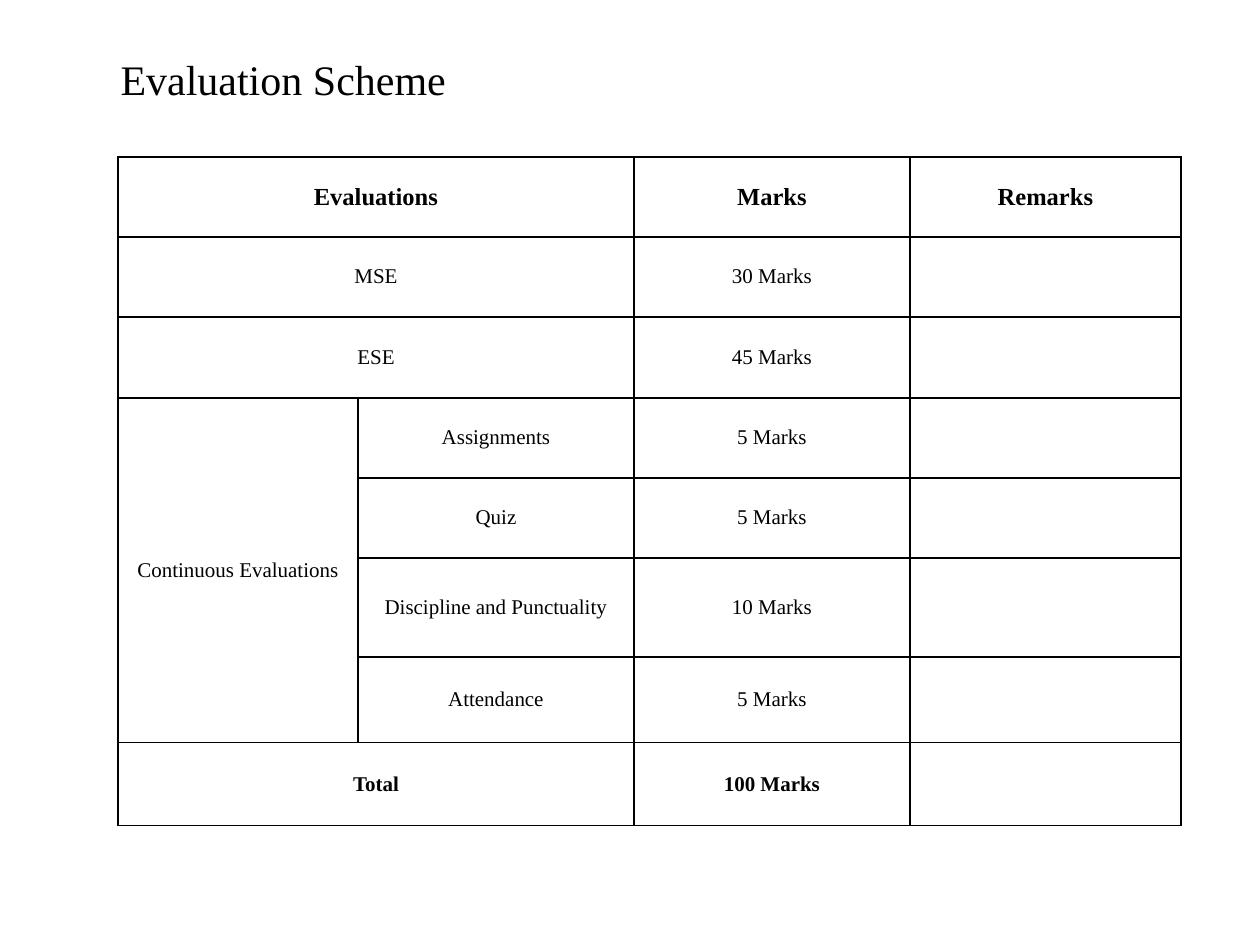
from lxml import etree
from pptx import Presentation
from pptx.dml.color import RGBColor
from pptx.enum.text import MSO_ANCHOR, PP_ALIGN
from pptx.oxml.ns import qn
from pptx.util import Emu, Pt

MIDDLE = MSO_ANCHOR.MIDDLE
LEFT, CENTER = PP_ALIGN.LEFT, PP_ALIGN.CENTER
TITLE_ONLY = 5

THEME = {
    "font": "Times New Roman",
    "ink": "000000",
    "title": 24,
    "header": 14,
    "body": 12,
    "space_after": 6,
    "border": 1,
}

PAGE_SIZE = (1260, 945)
TITLE = "Evaluation Scheme"
TITLE_BOX = (108, 29, 522, 100)
TABLE_ORIGIN = (118, 157)
CELL_INSET = 9
COLUMN_WIDTHS = [240, 276, 276, 271]
ROW_HEIGHTS = [80, 80, 81, 80, 80, 99, 86, 83]
ROWS = [
    ("Evaluations", "", "Marks", "Remarks"),
    ("MSE", "", "30 Marks", ""),
    ("ESE", "", "45 Marks", ""),
    ("Continuous Evaluations", "Assignments", "5 Marks", ""),
    ("", "Quiz", "5 Marks", ""),
    ("", "Discipline and Punctuality", "10 Marks", ""),
    ("", "Attendance", "5 Marks", ""),
    ("Total", "", "100 Marks", ""),
]
MERGES = [((row, 0), (row, 1)) for row in (0, 1, 2, 7)] + [((3, 0), (6, 0))]
BOLD_ROWS = (0, len(ROWS) - 1)


def px(length):
    return Emu(round(length * 914400 / 126))


def write(paragraph, text, size, bold, align):
    paragraph.alignment = align
    span = paragraph.add_run()
    span.text = text
    span.font.name = THEME["font"]
    span.font.size = Pt(size)
    span.font.bold = bold
    span.font.color.rgb = RGBColor.from_string(THEME["ink"])


def add_borders(cell):
    properties = cell._tc.get_or_add_tcPr()
    for side in ("a:lnL", "a:lnR", "a:lnT", "a:lnB"):
        line = etree.SubElement(properties, qn(side), w=str(Pt(THEME["border"])))
        fill = etree.SubElement(line, qn("a:solidFill"))
        etree.SubElement(fill, qn("a:srgbClr"), val=THEME["ink"])


def add_title(page):
    title = page.shapes.title
    title.left, title.top, title.width, title.height = map(px, TITLE_BOX)
    frame = title.text_frame
    frame.word_wrap = True
    frame.vertical_anchor = MIDDLE
    write(frame.paragraphs[0], TITLE, THEME["title"], False, LEFT)


def format_cell(cell, text, row):
    add_borders(cell)
    cell.fill.background()
    cell.vertical_anchor = MIDDLE
    cell.margin_left = cell.margin_right = px(CELL_INSET)
    cell.margin_top = cell.margin_bottom = 0
    if text:
        paragraph = cell.text_frame.paragraphs[0]
        paragraph.space_after = Pt(THEME["space_after"])
        size = THEME["header"] if row == 0 else THEME["body"]
        write(paragraph, text, size, row in BOLD_ROWS, CENTER)


def add_marks_table(page):
    bounds = (*TABLE_ORIGIN, sum(COLUMN_WIDTHS), sum(ROW_HEIGHTS))
    table = page.shapes.add_table(
        len(ROWS), len(COLUMN_WIDTHS), *map(px, bounds)
    ).table
    table.horz_banding = False
    table.first_row = False
    for column, width in zip(table.columns, COLUMN_WIDTHS):
        column.width = px(width)
    for row, height in zip(table.rows, ROW_HEIGHTS):
        row.height = px(height)
    for start, end in MERGES:
        table.cell(*start).merge(table.cell(*end))
    for row, texts in enumerate(ROWS):
        for column, text in enumerate(texts):
            format_cell(table.cell(row, column), text, row)


def main():
    deck = Presentation()
    deck.slide_width, deck.slide_height = map(px, PAGE_SIZE)
    page = deck.slides.add_slide(deck.slide_layouts[TITLE_ONLY])
    add_title(page)
    add_marks_table(page)
    deck.save("out.pptx")


if __name__ == "__main__":
    main()
